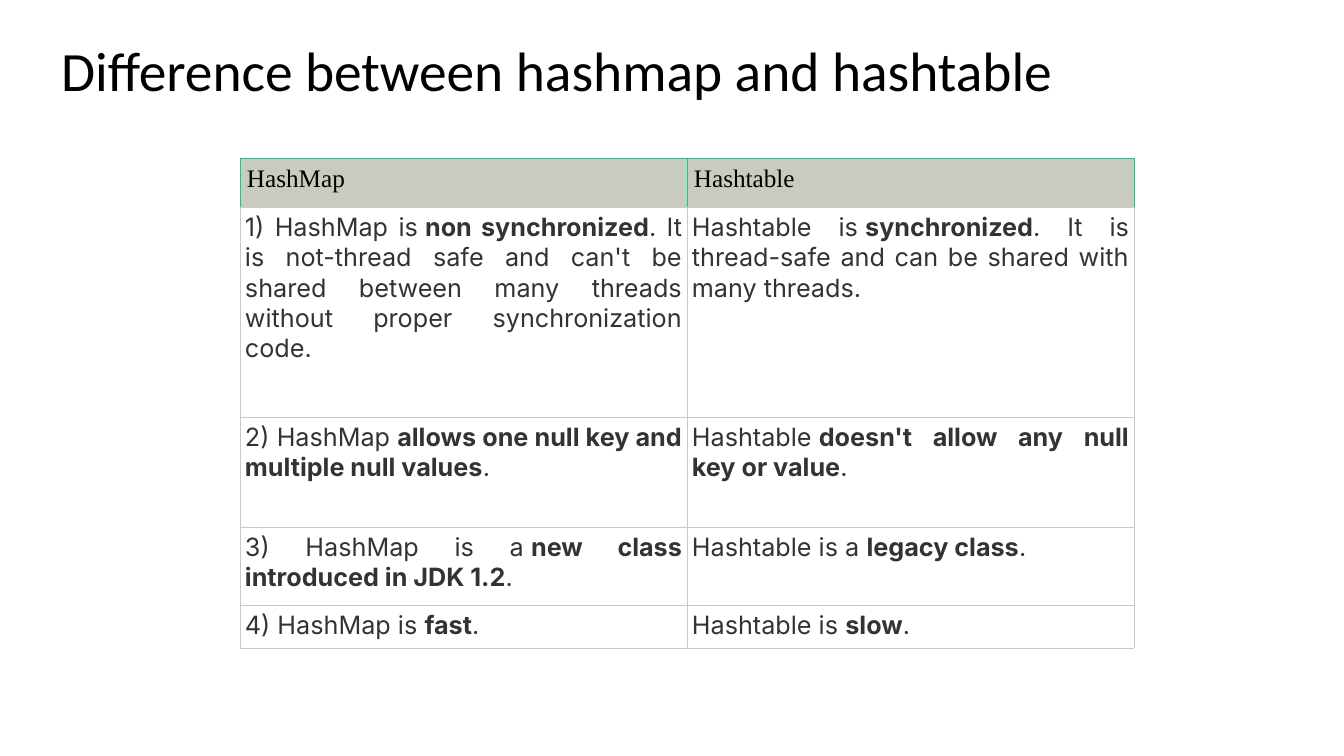
import pptx
import pptx.util
import pptx.dml.color
import pptx.enum.text
import pptx.oxml
import pptx.oxml.ns
from dataclasses import dataclass


@dataclass(frozen=True)
class Theme:
    black: str = "000000"
    ink: str = "333333"
    white: str = "FFFFFF"
    sage: str = "C7CCBE"
    green: str = "10CE8A"
    title: float = 39.6
    text: float = 18
    line: float = 0.43


theme = Theme()
scale = 914400 / 100.8


def px(size):
    return round(size * scale)


def style(run, font, size, color, bold=False):
    run.font.name = font
    run.font.size = pptx.util.Pt(size)
    run.font.bold = bold
    run.font.color.rgb = pptx.dml.color.RGBColor.from_string(color)


deck = pptx.Presentation()
deck.slide_width = px(1344)
deck.slide_height = px(756)
slide = deck.slides.add_slide(deck.slide_layouts[5])

title = slide.shapes.title
title.left, title.top, title.width, title.height = px(51), px(40), px(1282), px(67)
frame = title.text_frame
frame.text = "Difference between hashmap and hashtable"
frame.auto_size = pptx.enum.text.MSO_AUTO_SIZE.NONE
frame.vertical_anchor = pptx.enum.text.MSO_ANCHOR.MIDDLE
para = frame.paragraphs[0]
para.alignment = pptx.enum.text.PP_ALIGN.LEFT
para.line_spacing = 0.9
style(para.runs[0], "Calibri", theme.title, theme.black)

rows = [
    [["HashMap"], ["Hashtable"]],
    [
        ["1) HashMap is\u00a0", "non synchronized",
         ". It is not-thread safe and can't be shared between many threads "
         "without proper synchronization code."],
        ["Hashtable is\u00a0", "synchronized",
         ". It is thread-safe and can be shared with many threads."],
    ],
    [
        ["2) HashMap\u00a0", "allows one null key and multiple null values", "."],
        ["Hashtable\u00a0", "doesn't allow any null key or value", "."],
    ],
    [
        ["3) HashMap is a\u00a0", "new class introduced in JDK 1.2", "."],
        ["Hashtable is a\u00a0", "legacy class", "."],
    ],
    [
        ["4) HashMap is\u00a0", "fast", "."],
        ["Hashtable is\u00a0", "slow", "."],
    ],
]
highs = [49, 210, 110, 78, 43]

table = slide.shapes.add_table(
    len(rows), 2, px(240), px(158), px(894), px(sum(highs))
).table
table.first_row = False
table.horz_banding = False
for col in table.columns:
    col.width = px(447)

for r, (row, high) in enumerate(zip(rows, highs)):
    table.rows[r].height = px(high)
    head = r == 0
    for c, parts in enumerate(row):
        cell = table.cell(r, c)
        inset = px(7 if head else 5)
        cell.margin_left = cell.margin_right = inset
        cell.margin_top = cell.margin_bottom = inset
        cell.fill.solid()
        fill = theme.sage if head else theme.white
        cell.fill.fore_color.rgb = pptx.dml.color.RGBColor.from_string(fill)

        para = cell.text_frame.paragraphs[0]
        if not head:
            para.alignment = pptx.enum.text.PP_ALIGN.JUSTIFY
        for i, part in enumerate(parts):
            run = para.add_run()
            run.text = part
            if head:
                style(run, "Times New Roman", theme.text, theme.black)
            else:
                style(run, "Inter", theme.text, theme.ink, i == 1)

        props = cell._tc.get_or_add_tcPr()
        for i, side in enumerate("LRTB"):
            color = theme.green if head and side != "B" else theme.sage
            edge = pptx.oxml.parse_xml(
                f'<a:ln{side} {pptx.oxml.ns.nsdecls("a")} w="{pptx.util.Pt(theme.line)}">'
                f'<a:solidFill><a:srgbClr val="{color}"/></a:solidFill></a:ln{side}>'
            )
            props.insert(i, edge)

deck.save("out.pptx")
